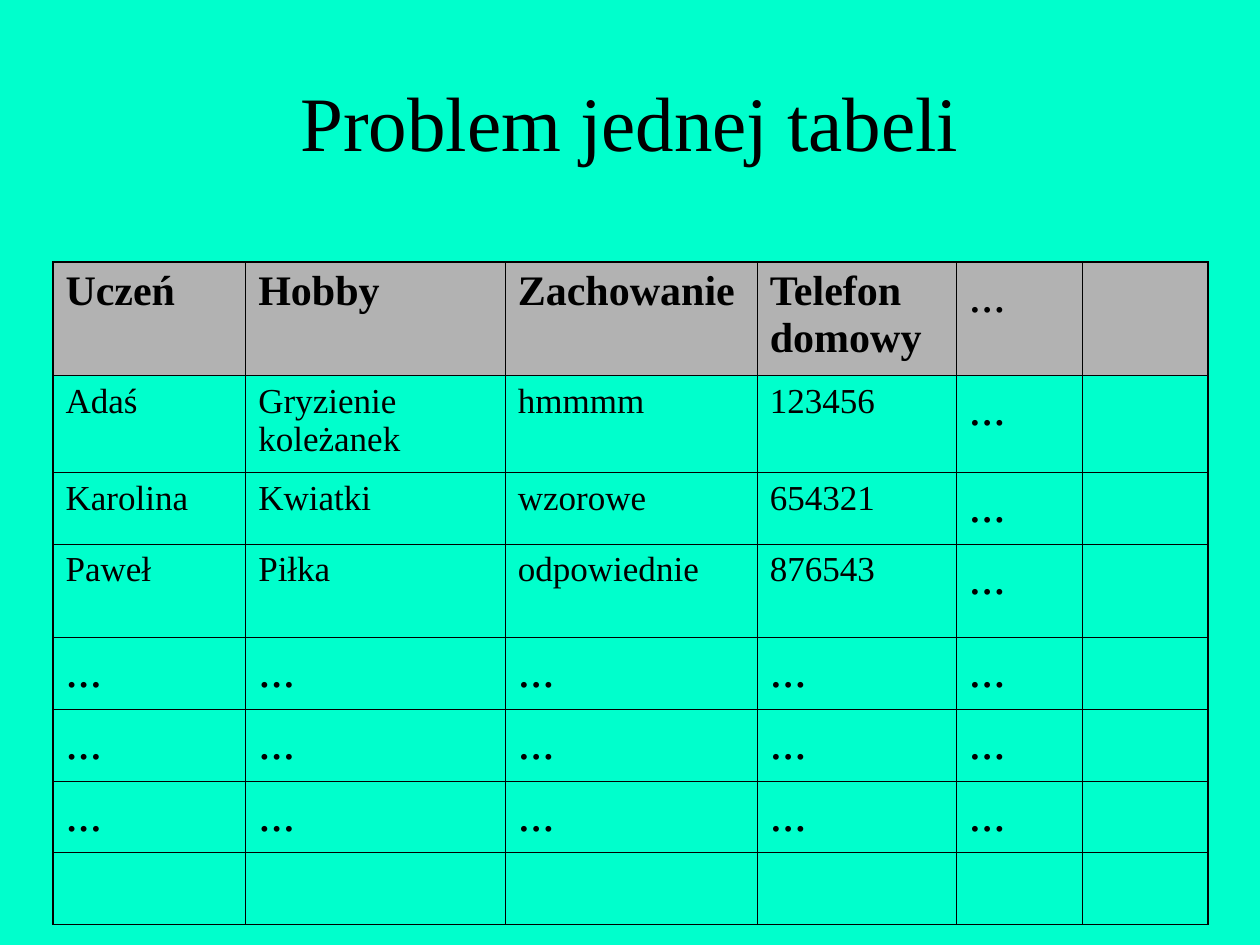
import dataclasses
import typing

import pptx
import pptx.dml.color
import pptx.enum.text
import pptx.oxml
import pptx.oxml.ns
import pptx.table
import pptx.text.text
import pptx.util

Inches = pptx.util.Inches
Pt = pptx.util.Pt


@dataclasses.dataclass(frozen=True)
class Theme:
    font: str = "Times New Roman"
    ink: str = "000000"
    page: str = "00FFCC"
    head: str = "B2B2B2"
    title: float = 44
    label: float = 24
    body: float = 20
    dots: float = 28
    thin: float = 0.45
    thick: float = 1.08


class Look(typing.NamedTuple):
    size: float
    bold: bool = False


THEME = Theme()
DOTS = "..."
ROWS = [
    ["Uczeń", "Hobby", "Zachowanie", "Telefon domowy", DOTS, ""],
    ["Adaś", "Gryzienie koleżanek", "hmmmm", "123456", DOTS, ""],
    ["Karolina", "Kwiatki", "wzorowe", "654321", DOTS, ""],
    ["Paweł", "Piłka", "odpowiednie", "876543", DOTS, ""],
    *[[DOTS] * 5 + [""]] * 3,
    [""] * 6,
]
WIDTHS = [1.53, 2.06, 2, 1.58, 1, 1]
HEIGHTS = [0.9, 0.77, 0.57, 0.74, 0.57, 0.57, 0.57, 0.57]


def color(code: str) -> pptx.dml.color.RGBColor:
    return pptx.dml.color.RGBColor.from_string(code)


def write(frame: pptx.text.text.TextFrame, text: str, look: Look) -> None:
    run = frame.paragraphs[0].add_run()
    run.text = text
    run.font.name = THEME.font
    run.font.size = Pt(look.size)
    run.font.bold = look.bold
    run.font.color.rgb = color(THEME.ink)


def choose_look(text: str, row: int) -> Look:
    if text == DOTS:
        return Look(THEME.dots)
    return Look(THEME.label, True) if row == 0 else Look(THEME.body)


def add_edge(cell: pptx.table._Cell, side: str, outer: bool) -> None:
    """Draw one cell border; call before the fill, which must follow it."""
    width = Pt(THEME.thick if outer else THEME.thin)
    space = pptx.oxml.ns.nsdecls("a")
    line = pptx.oxml.parse_xml(
        f'<a:ln{side} {space} w="{width}"><a:solidFill>'
        f'<a:srgbClr val="{THEME.ink}"/></a:solidFill></a:ln{side}>'
    )
    cell._tc.get_or_add_tcPr().append(line)


def add_title(slide: pptx.slide.Slide, text: str) -> None:
    title = slide.shapes.title
    title.left, title.top = Inches(0.75), Inches(0.33)
    title.width, title.height = Inches(8.5), Inches(1.25)
    frame = title.text_frame
    frame.vertical_anchor = pptx.enum.text.MSO_ANCHOR.MIDDLE
    frame.paragraphs[0].alignment = pptx.enum.text.PP_ALIGN.CENTER
    write(frame, text, Look(THEME.title))


def fill_cell(cell: pptx.table._Cell, text: str, row: int, col: int) -> None:
    edges = {
        "L": col == 0,
        "R": col == len(WIDTHS) - 1,
        "T": row == 0,
        "B": row == len(HEIGHTS) - 1,
    }
    for side, outer in edges.items():
        add_edge(cell, side, outer)
    if row == 0:
        cell.fill.solid()
        cell.fill.fore_color.rgb = color(THEME.head)
    else:
        cell.fill.background()
    if text:
        write(cell.text_frame, text, choose_look(text, row))


def add_grid(slide: pptx.slide.Slide) -> None:
    table = slide.shapes.add_table(
        len(HEIGHTS), len(WIDTHS), Inches(0.42), Inches(2.08),
        Inches(sum(WIDTHS)), Inches(sum(HEIGHTS)),
    ).table
    table.first_row = table.horz_banding = False
    for col, width in enumerate(WIDTHS):
        table.columns[col].width = Inches(width)
    for row, height in enumerate(HEIGHTS):
        table.rows[row].height = Inches(height)
        for col, text in enumerate(ROWS[row]):
            fill_cell(table.cell(row, col), text, row, col)


def main() -> None:
    deck = pptx.Presentation()
    deck.slide_width, deck.slide_height = Inches(10), Inches(7.5)
    slide = deck.slides.add_slide(deck.slide_layouts[5])
    slide.background.fill.solid()
    slide.background.fill.fore_color.rgb = color(THEME.page)
    add_title(slide, "Problem jednej tabeli")
    add_grid(slide)
    deck.save("out.pptx")


if __name__ == "__main__":
    main()
